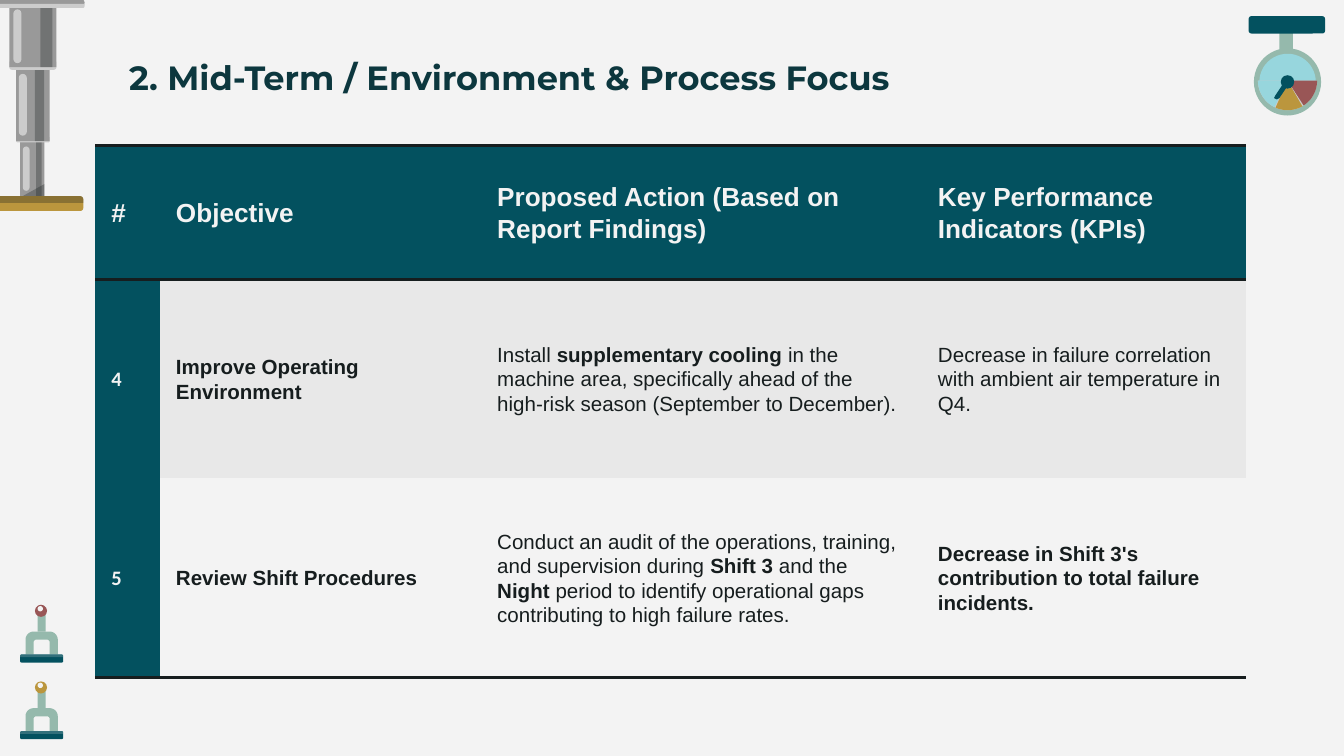
from dataclasses import dataclass
from math import cos, radians, sin

from lxml import etree
from pptx import Presentation
from pptx.dml.color import RGBColor
from pptx.enum.shapes import MSO_SHAPE
from pptx.enum.text import MSO_ANCHOR, PP_ALIGN
from pptx.oxml.ns import qn
from pptx.util import Inches, Pt

RECT = MSO_SHAPE.RECTANGLE
ROUND = MSO_SHAPE.ROUNDED_RECTANGLE
ROUND_PAIR = MSO_SHAPE.ROUND_2_SAME_RECTANGLE
OVAL = MSO_SHAPE.OVAL
MIDDLE = MSO_ANCHOR.MIDDLE
LEFT = PP_ALIGN.LEFT


@dataclass(frozen=True)
class Theme:
    paper: str = "F3F3F3"
    ink: str = "161D1E"
    title: str = "0C373E"
    teal: str = "03515F"
    sage: str = "95B9AC"
    sky: str = "97D6DD"
    mist: str = "98BDC4"
    red: str = "995656"
    gold: str = "BB963D"
    steel: str = "999999"
    silver: str = "CCCCCC"
    band: str = "E8E8E8"
    shine: str = "EFEFEF"
    title_size: int = 18
    header_size: int = 14
    body_size: int = 11
    title_font: str = "Montserrat"
    body_font: str = "Arial"
    number_font: str = "Calibri"


THEME = Theme()

PAGE_WIDTH = 10
PAGE_HEIGHT = PAGE_WIDTH * 9 / 16
COLUMN_WIDTHS = (0.48, 2.39, 3.28, 2.41)
ROW_HEIGHTS = (1, 1.48, 1.48)
ROWS = (
    ("#", "Objective", "Proposed Action (Based on Report Findings)",
     "Key Performance Indicators (KPIs)"),
    ("4", "*Improve Operating Environment*",
     "Install *supplementary cooling* in the machine area, specifically ahead "
     "of the high-risk season (September to December).",
     "Decrease in failure correlation with ambient air temperature in Q4."),
    ("5", "*Review Shift Procedures*",
     "Conduct an audit of the operations, training, and supervision during "
     "*Shift 3* and the *Night* period to identify operational gaps "
     "contributing to high failure rates.",
     "*Decrease in Shift 3's contribution to total failure incidents.*"),
)


def add_text(para, text, *, size, font, color, bold=False):
    span = para.add_run()
    span.text = text
    span.font.size = Pt(size)
    span.font.name = font
    span.font.bold = bold
    span.font.color.rgb = RGBColor.from_string(color)


def arc(x, y, radius, start, end, steps=16):
    angles = [radians(start + (end - start) * i / steps) for i in range(steps + 1)]
    return [(x + radius * cos(a), y + radius * sin(a)) for a in angles]


def add_border(cell, side, color=None):
    line = etree.SubElement(cell._tc.get_or_add_tcPr(), qn(f"a:{side}"), w=str(Pt(2)))
    if color:
        fill = etree.SubElement(line, qn("a:solidFill"))
        etree.SubElement(fill, qn("a:srgbClr"), val=color)
    else:
        etree.SubElement(line, qn("a:noFill"))


class SlideBuilder:
    def __init__(self, slide, theme):
        self.slide = slide
        self.theme = theme
        fill = slide.background.fill
        fill.solid()
        fill.fore_color.rgb = RGBColor.from_string(theme.paper)

    def paint(self, shape, color, opacity):
        shape.shadow.inherit = False
        shape.line.fill.background()
        shape.fill.solid()
        shape.fill.fore_color.rgb = RGBColor.from_string(color)
        if opacity < 100:
            tint = shape.fill._xPr.find(f".//{qn('a:srgbClr')}")
            etree.SubElement(tint, qn("a:alpha"), val=str(opacity * 1000))

    def shape(self, kind, left, top, width, height, color, adjust=(), opacity=100):
        box = self.slide.shapes.add_shape(
            kind, Inches(left), Inches(top), Inches(width), Inches(height))
        for index, value in enumerate(adjust):
            box.adjustments[index] = value
        self.paint(box, color, opacity)

    def polygon(self, points, color, opacity=100):
        corners = [(Inches(x), Inches(y)) for x, y in points]
        builder = self.slide.shapes.build_freeform(*corners[0])
        builder.add_line_segments(corners[1:], close=True)
        self.paint(builder.convert_to_shape(), color, opacity)

    def title(self, text):
        theme = self.theme
        box = self.slide.shapes.title
        box.left, box.top = Inches(0.36), Inches(0.37)
        box.width, box.height = Inches(6.67), Inches(0.4)
        frame = box.text_frame
        frame.margin_left = Inches(0.6)
        frame.vertical_anchor = MIDDLE
        frame.paragraphs[0].alignment = LEFT
        add_text(frame.paragraphs[0], text, size=theme.title_size,
                 font=theme.title_font, color=theme.title, bold=True)

    def gauge(self):
        theme = self.theme
        x, y, radius = 9.58, 0.6, 0.22
        self.shape(RECT, 9.52, 0.24, 0.1, 0.25, theme.sage)
        self.shape(OVAL, 9.33, 0.36, 0.5, 0.5, theme.sage)
        self.shape(OVAL, 9.37, 0.4, 0.42, 0.42, theme.sky)
        self.polygon(arc(x, y, radius, 0, 180), theme.silver)
        for start, end, color in ((0, 57, theme.red), (60, 114, theme.gold),
                                  (116, 180, theme.sky)):
            self.polygon([(x, y), *arc(x, y, radius, start, end)], color)
        self.shape(OVAL, 9.53, 0.56, 0.1, 0.1, theme.teal)
        self.polygon([(9.55, 0.62), (9.58, 0.64), (9.52, 0.73), (9.5, 0.74),
                      (9.48, 0.73), (9.49, 0.71)], theme.teal)
        self.shape(ROUND, 9.29, 0.12, 0.57, 0.13, theme.teal, (0.17,))

    def lever(self, top, knob):
        theme = self.theme
        arch, base = top + 0.2, top + 0.37
        outer = arc(0.25, arch + 0.06, 0.06, 180, 270) + arc(0.37, arch + 0.06, 0.06, 270, 360)
        inner = arc(0.35, arch + 0.08, 0.02, 360, 270) + arc(0.27, arch + 0.08, 0.02, 270, 180)
        self.polygon([(0.19, base), *outer, (0.43, base), (0.37, base),
                      *inner, (0.25, base)], theme.sage)
        self.shape(ROUND, 0.15, base, 0.32, 0.06, theme.teal, (0.17,))
        self.shape(ROUND_PAIR, 0.15, base, 0.32, 0.02, theme.shine, (0.4, 0), 20)
        self.shape(RECT, 0.28, top + 0.05, 0.06, 0.15, theme.sage)
        self.shape(OVAL, 0.26, top, 0.09, 0.09, knob)
        self.shape(OVAL, 0.28, top + 0.01, 0.04, 0.04, theme.paper)

    def piston_stage(self, barrel, shade, shine, collar, collar_color):
        theme = self.theme
        self.shape(ROUND_PAIR, *collar, collar_color, (0, 0.3))
        self.shape(RECT, *barrel, theme.steel)
        self.shape(RECT, *shade, theme.ink, opacity=30)
        self.shape(ROUND, *shine, theme.silver, (0.5,))

    def piston(self):
        theme = self.theme
        self.piston_stage((0.15, 1.05, 0.18, 0.42), (0.27, 1.05, 0.04, 0.42),
                          (0.17, 1.09, 0.05, 0.33), (0.15, 1.46, 0.18, 0.03), theme.mist)
        self.polygon([(0.15, 1.47), (0.33, 1.37), (0.33, 1.47)], theme.ink, 30)
        self.piston_stage((0.12, 0.47, 0.25, 0.58), (0.26, 0.47, 0.07, 0.58),
                          (0.14, 0.55, 0.06, 0.46), (0.12, 1.02, 0.25, 0.04), theme.silver)
        self.piston_stage((0.07, 0.01, 0.35, 0.49), (0.3, 0.01, 0.09, 0.49),
                          (0.1, 0.07, 0.06, 0.4), (0.07, 0.46, 0.35, 0.06), theme.silver)
        self.shape(ROUND, -0.14, -0.01, 0.77, 0.06, theme.steel, (0.5,))
        self.shape(ROUND_PAIR, -0.14, 0.03, 0.77, 0.03, theme.silver, (0, 0.5))
        self.shape(ROUND, -0.15, 1.46, 0.77, 0.11, theme.gold, (0.2,))
        self.shape(ROUND_PAIR, -0.15, 1.46, 0.77, 0.05, theme.ink, (0.4, 0), 30)

    def cell(self, cell, text, row, column):
        theme = self.theme
        top_color = theme.ink if row < 2 else None
        bottom_color = theme.ink if row in (0, len(ROWS) - 1) else None
        for side, color in (("lnL", None), ("lnR", None),
                            ("lnT", top_color), ("lnB", bottom_color)):
            add_border(cell, side, color)
        accent = row == 0 or column == 0
        cell.fill.solid()
        cell.fill.fore_color.rgb = RGBColor.from_string(
            theme.teal if accent else theme.band if row == 1 else theme.paper)
        cell.vertical_anchor = MIDDLE
        cell.margin_left, cell.margin_right = Inches(0.12), Inches(0.15)
        cell.margin_top = cell.margin_bottom = Inches(0.08)
        para = cell.text_frame.paragraphs[0]
        para.line_spacing = 1.07
        para.space_after = Pt(8)
        for index, part in enumerate(text.split("*") if row else [text]):
            if part:
                add_text(para, part,
                         size=theme.body_size if row else theme.header_size,
                         font=theme.number_font if row and column == 0 else theme.body_font,
                         color=theme.paper if accent else theme.ink,
                         bold=accent or index % 2 == 1)

    def table(self):
        table = self.slide.shapes.add_table(
            len(ROWS), len(COLUMN_WIDTHS), Inches(0.71), Inches(1.08),
            Inches(sum(COLUMN_WIDTHS)), Inches(sum(ROW_HEIGHTS))).table
        table.horz_banding = False
        for column, width in zip(table.columns, COLUMN_WIDTHS):
            column.width = Inches(width)
        for row, (height, texts) in enumerate(zip(ROW_HEIGHTS, ROWS)):
            table.rows[row].height = Inches(height)
            for column, text in enumerate(texts):
                self.cell(table.cell(row, column), text, row, column)


def main():
    deck = Presentation()
    deck.slide_width, deck.slide_height = Inches(PAGE_WIDTH), Inches(PAGE_HEIGHT)
    page = SlideBuilder(deck.slides.add_slide(deck.slide_layouts[5]), THEME)
    page.gauge()
    page.lever(4.5, THEME.red)
    page.lever(5.07, THEME.gold)
    page.piston()
    page.table()
    page.title("2. Mid-Term / Environment & Process Focus")
    deck.save("out.pptx")


if __name__ == "__main__":
    main()
